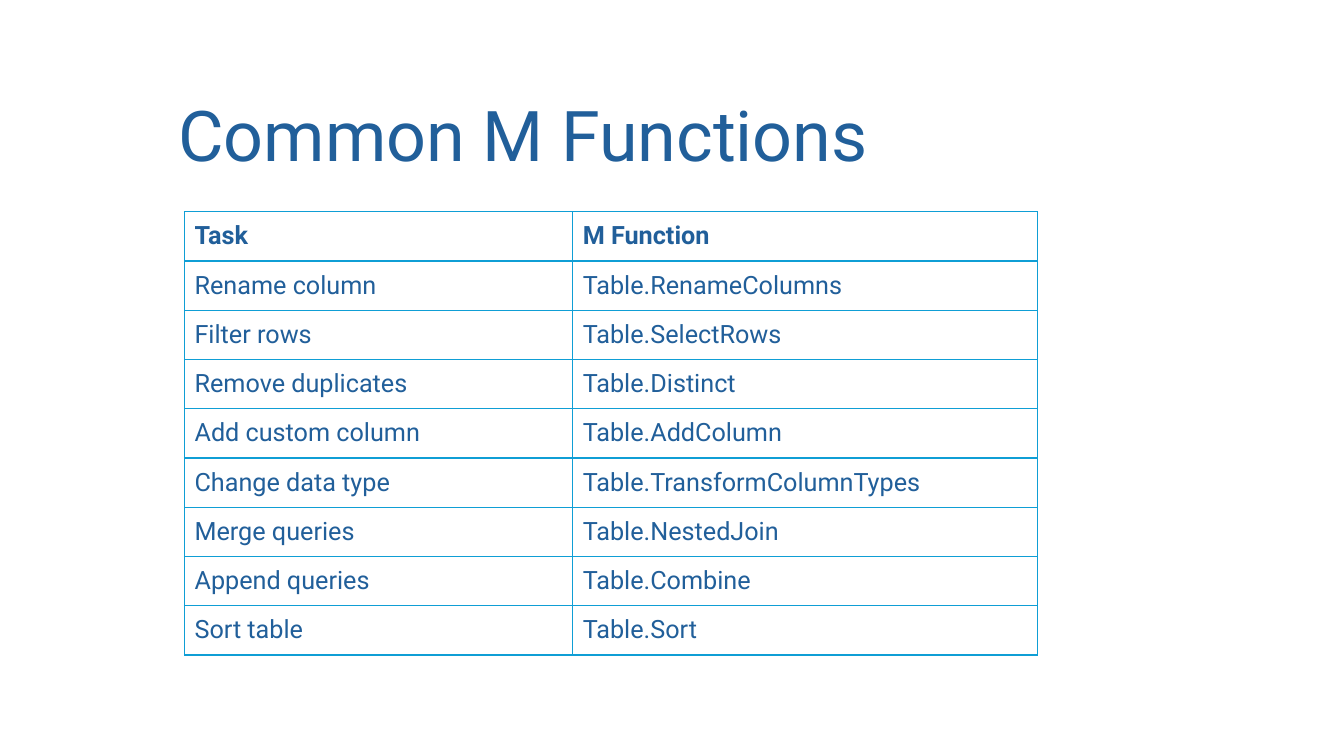
from lxml import etree
from pptx import Presentation
from pptx import util as u
from pptx.dml.color import RGBColor
from pptx.enum import text as t
from pptx.oxml import ns

NAVY, SKY = "215F9A", "0F9ED5"
ROWS = [
    ("Task", "M Function"),
    ("Rename column", "Table.RenameColumns"),
    ("Filter rows", "Table.SelectRows"),
    ("Remove duplicates", "Table.Distinct"),
    ("Add custom column", "Table.AddColumn"),
    ("Change data type", "Table.TransformColumnTypes"),
    ("Merge queries", "Table.NestedJoin"),
    ("Append queries", "Table.Combine"),
    ("Sort table", "Table.Sort"),
]


def color(code):
    return RGBColor.from_string(code)


def write(frame, words, size, bold=False):
    frame.text = words
    para = frame.paragraphs[0]
    para.alignment = t.PP_ALIGN.LEFT
    font = para.runs[0].font
    for key, val in {"name": "Roboto", "size": u.Pt(size), "bold": bold}.items():
        setattr(font, key, val)
    font.color.rgb = color(NAVY)
    return para


def border(cell, code, width):
    """Draw all four edges; the schema wants them ahead of the fill."""
    props = cell._tc.get_or_add_tcPr()
    for spot, side in enumerate(("lnL", "lnR", "lnT", "lnB")):
        line = etree.Element(ns.qn(f"a:{side}"), w=str(u.Pt(width)))
        fill = etree.SubElement(line, ns.qn("a:solidFill"))
        etree.SubElement(fill, ns.qn("a:srgbClr"), val=code)
        props.insert(spot, line)


def add_title(slide, words, box):
    title = slide.shapes.title
    for key, val in zip(("left", "top", "width", "height"), box):
        setattr(title, key, u.Inches(val))
    frame = title.text_frame
    form = {"vertical_anchor": t.MSO_ANCHOR.BOTTOM, "word_wrap": True,
            "auto_size": t.MSO_AUTO_SIZE.NONE}
    for key, val in form.items():
        setattr(frame, key, val)
    write(frame, words, 50).line_spacing = 0.9


def add_grid(slide, rows, box, split):
    """Place a two-column table whose first column takes split inches."""
    grid = slide.shapes.add_table(len(rows), 2, *map(u.Inches, box)).table
    grid.horz_banding = grid.first_row = False
    for col, width in zip(grid.columns, (split, box[2] - split)):
        col.width = u.Inches(width)
    for r, row in enumerate(rows):
        grid.rows[r].height = u.Inches(box[3] / len(rows))
        for c, words in enumerate(row):
            cell = grid.cell(r, c)
            cell.vertical_anchor = t.MSO_ANCHOR.MIDDLE
            cell.fill.background()
            border(cell, SKY, 1)
            write(cell.text_frame, words, 18, bold=r == 0)


def main():
    deck = Presentation()
    deck.slide_width, deck.slide_height = u.Inches(13.33), u.Inches(7.5)
    slide = deck.slides.add_slide(deck.slide_layouts[5])
    add_title(slide, "Common M Functions", (1.67, 0.7, 10.75, 1.1))
    add_grid(slide, ROWS, (1.83, 2.1, 8.46, 4.4), 3.85)
    deck.save("out.pptx")


if __name__ == "__main__":
    main()
